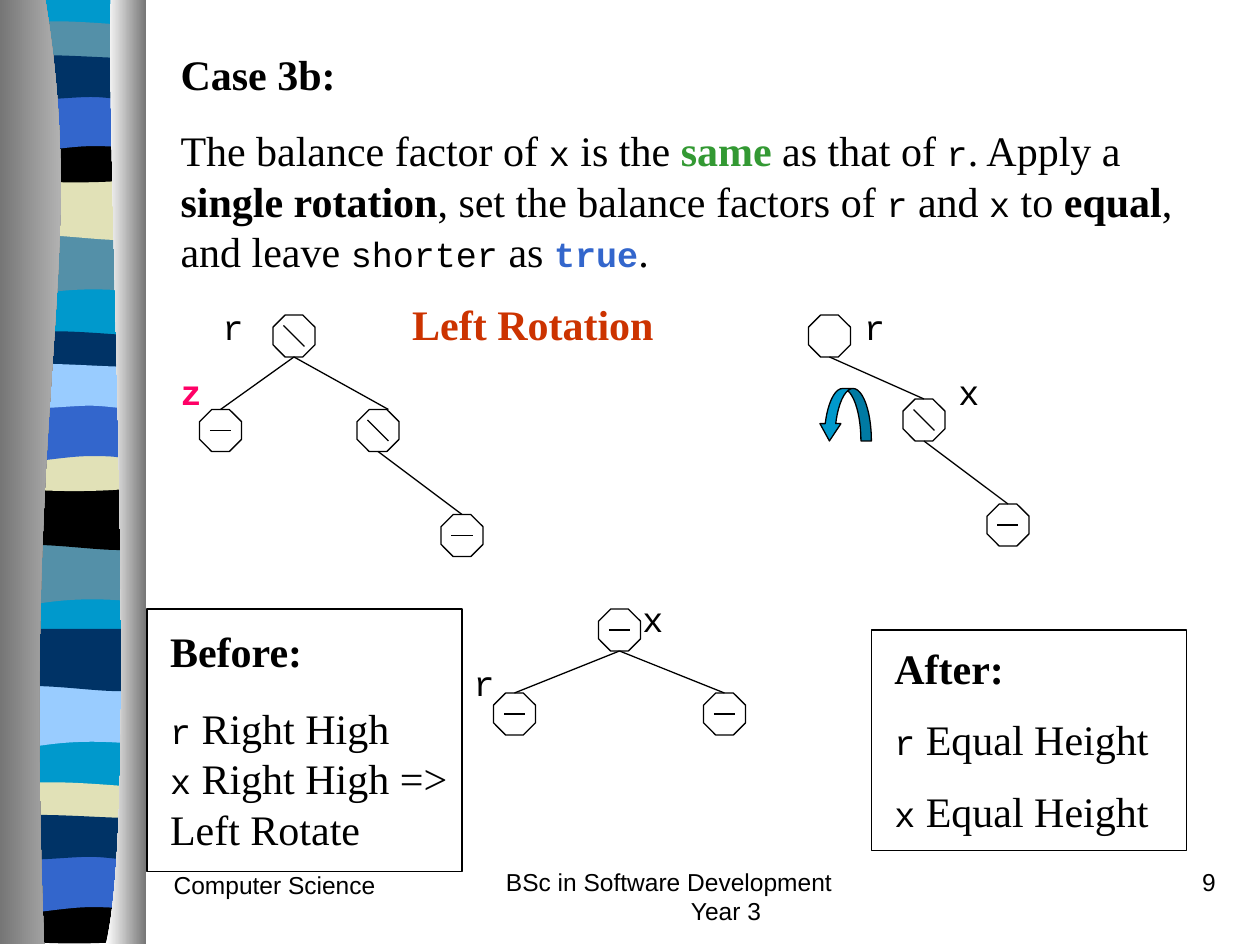
"""Build the AVL deletion slide for case 3b, single left rotation."""
import dataclasses

import lxml.etree
import pptx
import pptx.dml.color
import pptx.enum.shapes
import pptx.enum.text
import pptx.oxml.ns
import pptx.util

Cm, Pt = pptx.util.Cm, pptx.util.Pt
SHAPE = pptx.enum.shapes.MSO_SHAPE
ALIGN = pptx.enum.text.PP_ALIGN
qn = pptx.oxml.ns.qn


@dataclasses.dataclass(frozen=True)
class Theme:
    ink = "000000"
    cyan, steel, navy = "0099CC", "5490A8", "003366"
    blue, sand, sky = "3366CC", "E1E1B7", "99CCFF"
    dark, pale, white = "767676", "D0D0D0", "FFFFFF"
    line = 0.75
    runs = {
        "body": ("Times New Roman", 24, False, ink),
        "bold": ("Times New Roman", 24, True, ink),
        "same": ("Times New Roman", 24, True, "339933"),
        "title": ("Times New Roman", 24, True, "CC3300"),
        "code": ("Courier New", 20, False, ink),
        "true": ("Courier New", 20, True, blue),
        "removed": ("Courier New", 20, True, "FF0066"),
        "footer": ("Arial", 14, False, ink),
    }


def rgb(color):
    return pptx.dml.color.RGBColor.from_string(color)


def grid(n):
    return Cm(n * 2.54 / 12)


def set_tabs(p, stops):
    tabs = lxml.etree.SubElement(p._p.get_or_add_pPr(), qn("a:tabLst"))
    for stop in stops:
        lxml.etree.SubElement(tabs, qn("a:tab"), pos=str(Cm(stop)), algn="l")


class Deck:
    def __init__(self, prs, theme):
        self.theme = theme
        self.s = prs.slides.add_slide(prs.slide_layouts[6])

    def outline(self, segments, dx=0, dy=0, color=None, fade=None):
        pts = [(seg[i] + dx, seg[i + 1] + dy) for seg in segments for i in range(0, len(seg), 2)]
        fb = self.s.shapes.build_freeform(*pts[0], scale=Cm(2.54) / 100)
        fb.add_line_segments(pts[1:], close=True)
        sp = fb.convert_to_shape()
        lines = iter(list(sp._element.iter(qn("a:lnTo"))))
        for seg in segments[1:]:
            first = next(lines)
            if len(seg) == 6:
                first.tag = qn("a:cubicBezTo")
                for extra in (next(lines), next(lines)):
                    first.append(extra[0])
                    extra.getparent().remove(extra)
        sp.shadow.inherit = False
        sp.line.fill.background()
        if fade:
            sp.fill.gradient()
            sp.fill.gradient_angle = 0
            for stop, c in zip(sp.fill.gradient_stops, fade):
                stop.color.rgb = rgb(c)
        else:
            sp.fill.solid()
            sp.fill.fore_color.rgb = rgb(color)

    def shape(self, kind, x, y, w, h, color=None, adj=()):
        sp = self.s.shapes.add_shape(kind, grid(x), grid(y), grid(w), grid(h))
        sp.shadow.inherit = False
        sp.line.color.rgb = rgb(self.theme.ink)
        sp.line.width = Pt(self.theme.line)
        for i, value in enumerate(adj):
            sp.adjustments[i] = value
        if color:
            sp.fill.solid()
            sp.fill.fore_color.rgb = rgb(color)
        else:
            sp.fill.background()
        return sp

    def line(self, x1, y1, x2, y2):
        straight = pptx.enum.shapes.MSO_CONNECTOR.STRAIGHT
        ln = self.s.shapes.add_connector(straight, grid(x1), grid(y1), grid(x2), grid(y2))
        ln.line.color.rgb = rgb(self.theme.ink)
        ln.line.width = Pt(self.theme.line)
        lxml.etree.SubElement(ln._element.spPr, qn("a:effectLst"))

    def node(self, x, y, balance):
        self.shape(SHAPE.OCTAGON, x, y, 4, 4, adj=[0.29])
        if balance == "equal":
            self.line(x + 1, y + 2, x + 3, y + 2)
        elif balance == "right":
            self.line(x + 1, y + 1, x + 3, y + 3)

    def text(self, x, y, w, h, paras, before=15, spacing=None, align=ALIGN.LEFT):
        sp = self.s.shapes.add_textbox(Cm(x), Cm(y), Cm(w), Cm(h))
        tf = sp.text_frame
        tf.word_wrap = True
        for i, runs in enumerate(paras):
            p = tf.add_paragraph() if i else tf.paragraphs[0]
            p.alignment = align
            if i:
                p.space_before = Pt(before)
                p.line_spacing = spacing
            for words, style in runs:
                if words == "\v":
                    p.add_line_break()
                    continue
                r = p.add_run()
                r.text = words
                name, size, bold, color = self.theme.runs[style]
                r.font.name, r.font.size, r.font.bold = name, Pt(size), bold
                r.font.color.rgb = rgb(color)
        return tf


def draw_ribbon(deck):
    t = deck.theme
    deck.outline([(6, 0), (114, 0), (114, 747), (6, 747)], color=t.cyan)
    bands = [
        [(108, 0), (108, 47), (33, 39, 18, 55, 0, 47), (0, 0)],
        [(108, 0), (108, 47), (90, 55, 33, 41, 0, 47), (0, 0)],
        [(108, 5), (108, 29), (90, 34, 18, 34, 0, 29), (0, 5),
         (7, 0, 23, 1, 41, 1), (59, 1, 94, 4, 108, 5)],
        [(108, 0), (108, 33), (90, 38, 18, 38, 0, 33), (0, 0), (66, 5, 85, 0, 108, 0)],
        [(108, 0), (108, 48), (91, 42, 84, 42, 66, 42), (48, 42, 16, 48, 0, 48), (0, 0)],
        [(108, 5), (108, 36), (101, 41, 84, 36, 66, 36), (48, 36, 11, 41, 0, 36),
         (0, 5), (15, 0, 73, 5, 91, 5)],
    ]
    groups = [
        (6, (185, 141, 16, 108, 74, 41), (t.steel, t.sand, t.steel, t.ink, t.blue, t.navy)),
        (5, (431, 387, 262, 353, 320, 286), (t.steel, t.ink, t.navy, t.sand, t.blue, t.sky)),
        (5, (544, 499, 620, 712, 678, 644), (t.sky, t.navy, t.sand, t.ink, t.blue, t.navy)),
    ]
    for left, tops, colors in groups:
        for band, top, color in zip(bands, tops, colors):
            deck.outline(band, left, top, color)
    deck.outline([(36, 0), (71, 216, 17, 296, 35, 749), (0, 749), (0, 0)], fade=(t.dark, t.pale))
    deck.outline([(88, 0), (84, 125, 111, 646, 84, 749), (116, 749), (116, 0)],
                 fade=(t.white, t.dark))


def draw_footer(deck):
    deck.text(3.25, 17.42, 5.28, 1.27, [[("Computer Science", "footer")]])
    tf = deck.text(9.95, 17.35, 8.05, 1.27, [[
        ("BSc in Software Development", "footer"), ("\v", None), ("\tYear 3", "footer")]])
    set_tabs(tf.paragraphs[0], [3.73])
    deck.text(19.48, 17.35, 5.28, 1.27, [[("9", "footer")]], align=ALIGN.RIGHT)


def draw_body(deck):
    tf = deck.text(3.39, 0.85, 20.95, 13.44, [
        [("Case 3b:", "bold")],
        [("The balance factor of ", "body"), ("x", "code"), (" is the ", "body"),
         ("same", "same"), (" as that of ", "body"), ("r", "code"), (". Apply a ", "body"),
         ("single rotation", "bold"), (", set the balance factors of ", "body"), ("r", "code"),
         (" and ", "body"), ("x", "code"), (" to ", "body"), ("equal", "bold"),
         (", and leave ", "body"), ("shorter", "code"), (" as ", "body"), ("true", "true"),
         (".", "body")],
        [("\tr\t", "code"), ("Left Rotation", "title"), ("\tr", "code")],
        [("z", "removed"), ("\tx", "code")],
        [("\tx", "code")],
        [("\tr", "code")]])
    labels = [(12.5, [0.85, 4.67, 13.78]), (12.5, [15.68]), (106, [9.31]), (12.5, [5.91])]
    for p, (before, stops) in zip(tf.paragraphs[2:], labels):
        p.space_before = Pt(before)
        set_tabs(p, stops)


def draw_trees(deck):
    trees = [
        ([(26, 30, "right"), (19, 39, "equal"), (34, 39, "right"), (42, 49, "equal")],
         [(0, 1, 0), (0, 2, 1), (2, 3, 0)]),
        ([(77, 30, None), (86, 38, "right"), (94, 48, "equal")], [(0, 1, 0), (1, 2, 0)]),
        ([(57, 58, "equal"), (47, 66, "equal"), (67, 66, "equal")], [(0, 1, 0), (0, 2, 0)]),
    ]
    for nodes, edges in trees:
        for node in nodes:
            deck.node(*node)
        for a, b, shift in edges:
            (x1, y1, _), (x2, y2, _) = nodes[a], nodes[b]
            deck.line(x1 + 2, y1 + 4, x2 + 2 + shift, y2)


def draw_summary(deck):
    deck.text(17.78, 12.83, 5.92, 4.17, [
        [("After:", "bold")],
        *[[(name, "code"), (" Equal Height", "body")] for name in "rx"]], spacing=0.9)
    deck.text(3.18, 12.49, 6.15, 4.85, [
        [("Before:", "bold")],
        [("r", "code"), (" Right High", "body"), ("\v", None), ("x", "code"),
         (" Right High => Left Rotate", "body")]])
    deck.shape(SHAPE.RECTANGLE, 14, 58, 30, 25)
    deck.shape(SHAPE.RECTANGLE, 83, 60, 30, 21)
    sp = deck.shape(SHAPE.CURVED_DOWN_ARROW, 78, 37, 5, 5, deck.theme.cyan, (0.2, 0.4, 0.33))
    sp._element.spPr.xfrm.set("flipH", "1")


def main():
    prs = pptx.Presentation()
    prs.slide_width, prs.slide_height = Cm(25.4), Cm(19.05)
    deck = Deck(prs, Theme())
    for draw in (draw_ribbon, draw_footer, draw_body, draw_trees, draw_summary):
        draw(deck)
    prs.save("out.pptx")


if __name__ == "__main__":
    main()
